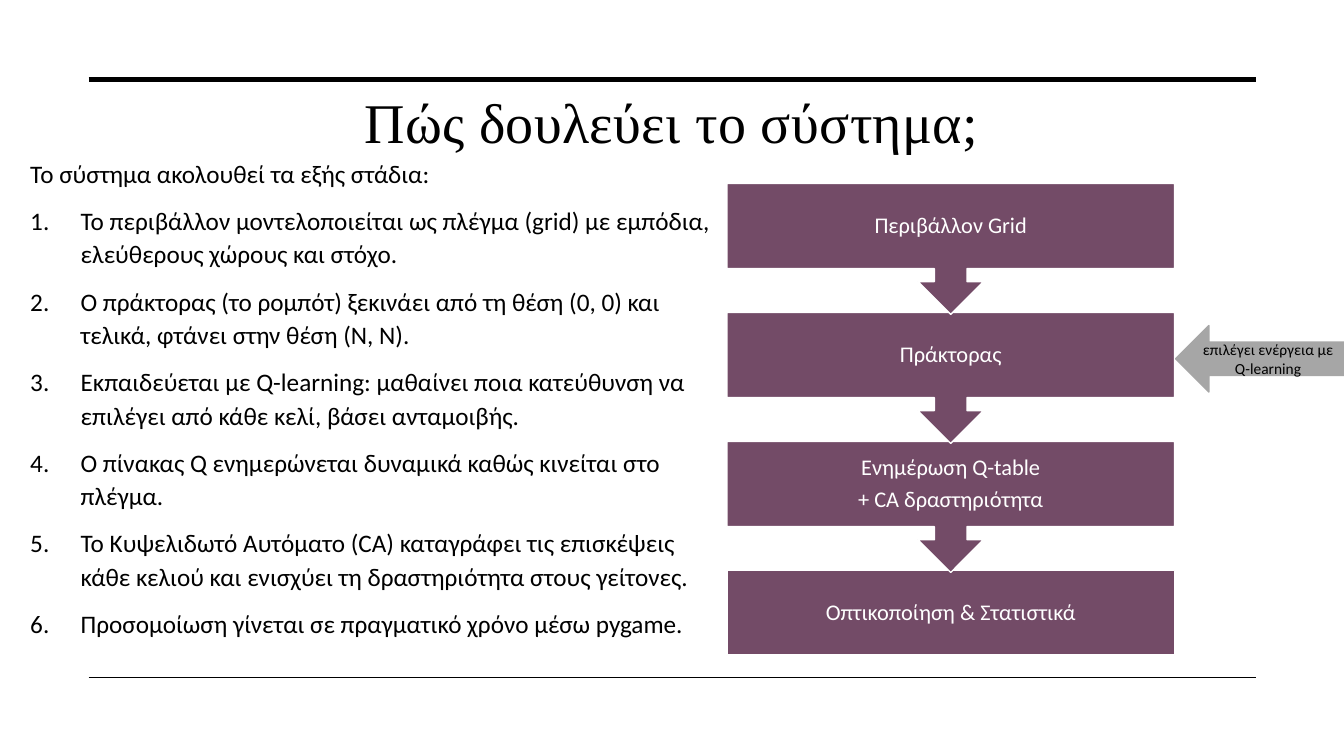
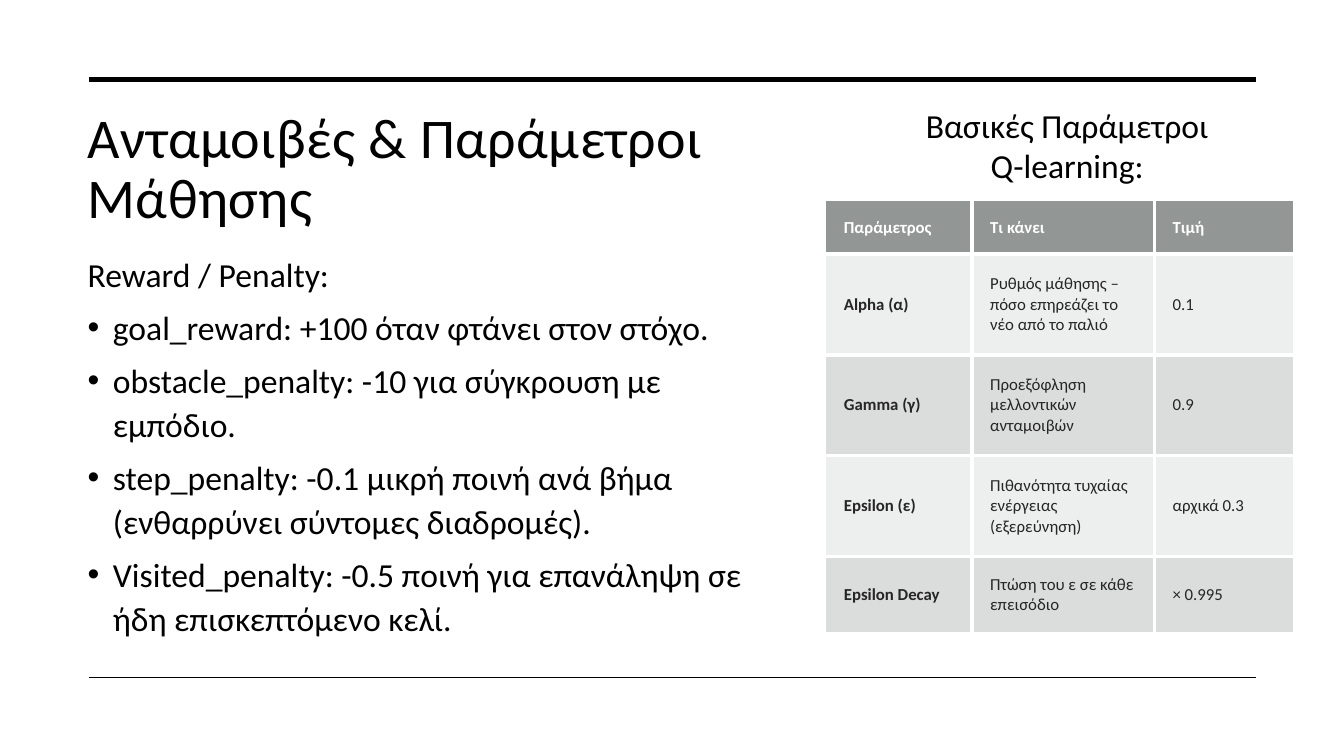
from dataclasses import dataclass
from typing import NamedTuple, Optional

from lxml.etree import SubElement
from pptx import Presentation
from pptx.dml.color import RGBColor
from pptx.enum.shapes import MSO_CONNECTOR, MSO_SHAPE
from pptx.enum.text import MSO_ANCHOR, MSO_AUTO_SIZE, PP_ALIGN
from pptx.oxml.ns import qn
from pptx.util import Inches, Pt


@dataclass(frozen=True)
class Theme:
    sans: str = "Calibri"
    serif: str = "Times New Roman"
    ink: str = "000000"
    paper: str = "FFFFFF"
    plum: str = "734B67"
    silver: str = "A6A6A6"
    header: str = "929795"
    bands: tuple = ("EDEEEE", "DBDDDC")
    cell_ink: str = "262626"
    title_size: float = 40
    large_size: float = 24
    list_size: float = 18
    step_size: float = 16
    cell_size: float = 12
    note_size: float = 11


THEME = Theme()


class Box(NamedTuple):
    left: float
    top: float
    width: float
    height: float

    def emu(self) -> tuple:
        return tuple(Inches(side) for side in self)


@dataclass(frozen=True)
class TextStyle:
    size: float
    color: str = THEME.ink
    font: str = THEME.sans
    bold: bool = False
    align: PP_ALIGN = PP_ALIGN.LEFT
    line_spacing: float = 1.0
    before: float = 0
    after: float = 0
    tracking: Optional[int] = None


@dataclass(frozen=True)
class Marker:
    """List marker: its XML tag, attribute and hanging indent in inches."""
    tag: str
    attribute: str
    value: str
    indent: float


NUMBER = Marker("a:buAutoNum", "type", "arabicPeriod", 0.5)
BULLET = Marker("a:buChar", "char", "•", 0.25)

STAGES = [
    "Το σύστημα ακολουθεί τα εξής στάδια:",
    "Το περιβάλλον μοντελοποιείται ως πλέγμα (grid) με εμπόδια, ελεύθερους χώρους και στόχο.",
    "Ο πράκτορας (το ρομπότ) ξεκινάει από τη θέση (0, 0) και τελικά, φτάνει στην θέση (N, N).",
    "Εκπαιδεύεται με Q-learning: μαθαίνει ποια κατεύθυνση να επιλέγει από κάθε κελί, "
    "βάσει ανταμοιβής.",
    "Ο πίνακας Q ενημερώνεται δυναμικά καθώς κινείται στο πλέγμα.",
    "Το Κυψελιδωτό Αυτόματο (CA) καταγράφει τις επισκέψεις κάθε κελιού και ενισχύει "
    "τη δραστηριότητα στους γείτονες.",
    "Προσομοίωση γίνεται σε πραγματικό χρόνο μέσω pygame.",
]
FLOW_STEPS = [
    "Περιβάλλον Grid",
    "Πράκτορας",
    "Ενημέρωση Q-table\n+ CA δραστηριότητα",
    "Οπτικοποίηση & Στατιστικά",
]
REWARDS = [
    "Reward / Penalty:",
    "goal_reward: +100 όταν φτάνει στον στόχο.",
    "obstacle_penalty: -10 για σύγκρουση με εμπόδιο.",
    "step_penalty: -0.1 μικρή ποινή ανά βήμα (ενθαρρύνει σύντομες διαδρομές).",
    "Visited_penalty: -0.5 ποινή για επανάληψη σε ήδη επισκεπτόμενο κελί.",
]
PARAMETERS = [
    ("Παράμετρος", "Τι κάνει", "Τιμή"),
    ("Alpha (α)", "Ρυθμός μάθησης – πόσο επηρεάζει το νέο από το παλιό", "0.1"),
    ("Gamma (γ)", "Προεξόφληση μελλοντικών ανταμοιβών", "0.9"),
    ("Epsilon (ε)", "Πιθανότητα τυχαίας ενέργειας (εξερεύνηση)", "αρχικά 0.3"),
    ("Epsilon Decay", "Πτώση του ε σε κάθε επεισόδιο", "× 0.995"),
]


def rgb(color: str) -> RGBColor:
    return RGBColor.from_string(color)


def write(frame, text: str, style: TextStyle) -> None:
    frame.text = text
    for index, paragraph in enumerate(frame.paragraphs):
        paragraph.alignment = style.align
        paragraph.line_spacing = style.line_spacing
        paragraph.space_before = Pt(style.before if index else 0)
        paragraph.space_after = Pt(style.after)
        for run in paragraph.runs:
            font = run.font
            font.name, font.size, font.bold = style.font, Pt(style.size), style.bold
            font.color.rgb = rgb(style.color)
            if style.tracking is not None:
                run._r.get_or_add_rPr().set("spc", str(style.tracking))


def place(shape, box: Box) -> None:
    shape.left, shape.top, shape.width, shape.height = box.emu()


def add_rule(slide, top: float, weight: float) -> None:
    rule = slide.shapes.add_connector(
        MSO_CONNECTOR.STRAIGHT, Inches(0.88), Inches(top), Inches(12.46), Inches(top))
    rule.line.color.rgb = rgb(THEME.ink)
    rule.line.width = Pt(weight)
    SubElement(rule._element.spPr, qn("a:effectLst"))


def add_framed_slide(prs, title: str, box: Box, style: TextStyle):
    """Add a slide with its title between the two horizontal rules."""
    slide = prs.slides.add_slide(prs.slide_layouts[1])
    add_rule(slide, 0.79, 3.5)
    add_rule(slide, 6.72, 1)
    heading = slide.shapes.title
    place(heading, box)
    frame = heading.text_frame
    frame.auto_size = MSO_AUTO_SIZE.NONE
    frame.vertical_anchor = MSO_ANCHOR.TOP
    frame.margin_top = Inches(0.1)
    write(frame, title, style)
    return slide


def fill_list(slide, items: list, box: Box, style: TextStyle, marker: Marker) -> None:
    """Fill the body with a plain lead line followed by marked items."""
    body = slide.placeholders[1]
    place(body, box)
    frame = body.text_frame
    frame.auto_size = MSO_AUTO_SIZE.NONE
    write(frame, "\n".join(items), style)
    for index, paragraph in enumerate(frame.paragraphs):
        properties = paragraph._p.get_or_add_pPr()
        indent = Inches(marker.indent) if index else 0
        properties.set("marL", str(indent))
        properties.set("indent", str(-indent))
        if index:
            SubElement(properties, qn(marker.tag)).set(marker.attribute, marker.value)
        else:
            SubElement(properties, qn("a:buNone"))


def add_block(slide, preset: MSO_SHAPE, box: Box, text: str, fill: str, outline: str,
              style: TextStyle, inset: float) -> None:
    block = slide.shapes.add_shape(preset, *box.emu())
    block.shadow.inherit = False
    block.fill.solid()
    block.fill.fore_color.rgb = rgb(fill)
    block.line.color.rgb = rgb(outline)
    block.line.width = Pt(1)
    frame = block.text_frame
    frame.word_wrap = True
    frame.vertical_anchor = MSO_ANCHOR.MIDDLE
    frame.margin_left = frame.margin_right = Inches(inset)
    frame.margin_top = frame.margin_bottom = Inches(0.05)
    write(frame, text, style)


def add_flow(slide) -> None:
    style = TextStyle(THEME.step_size, THEME.paper, align=PP_ALIGN.CENTER,
                      line_spacing=0.9, after=5.6)
    last = len(FLOW_STEPS) - 1
    for index, step in reversed(list(enumerate(FLOW_STEPS))):
        preset = MSO_SHAPE.RECTANGLE if index == last else MSO_SHAPE.DOWN_ARROW_CALLOUT
        box = Box(7.21, 1.82 + 1.28 * index, 4.44, 0.84 if index == last else 1.3)
        add_block(slide, preset, box, step, THEME.plum, THEME.paper, style, 0.12)


def add_borders(cell, sides: dict) -> None:
    properties = cell._tc.get_or_add_tcPr()
    for tag, inner in sides.items():
        if inner:
            line = SubElement(properties, qn(tag), w=str(Pt(3)))
            fill = SubElement(line, qn("a:solidFill"))
            SubElement(fill, qn("a:srgbClr"), val=THEME.paper)


def add_parameter_table(slide) -> None:
    widths, heights = (1.45, 1.81, 1.38), (0.53, 1, 1, 1, 0.76)
    box = Box(8.19, 1.99, sum(widths), sum(heights))
    table = slide.shapes.add_table(len(heights), len(widths), *box.emu()).table
    table.first_row = table.horz_banding = False
    for column, width in zip(table.columns, widths):
        column.width = Inches(width)
    for r, (row, height, values) in enumerate(zip(table.rows, heights, PARAMETERS)):
        row.height = Inches(height)
        for c, value in enumerate(values):
            cell = table.cell(r, c)
            add_borders(cell, {"a:lnL": c > 0, "a:lnR": c < len(widths) - 1,
                               "a:lnT": r > 0, "a:lnB": r < len(heights) - 1})
            cell.fill.solid()
            cell.fill.fore_color.rgb = rgb(THEME.bands[(r - 1) % 2] if r else THEME.header)
            cell.vertical_anchor = MSO_ANCHOR.MIDDLE
            cell.margin_left = Inches(0.18)
            cell.margin_right = cell.margin_top = cell.margin_bottom = Inches(0.11)
            write(cell.text_frame, value,
                  TextStyle(THEME.cell_size, THEME.cell_ink if r else THEME.paper,
                            bold=r == 0 or c == 0))


def add_system_slide(prs) -> None:
    slide = add_framed_slide(
        prs, "Πώς δουλεύει το σύστημα;", Box(0.82, 0.77, 11.69, 1.04),
        TextStyle(THEME.title_size, font=THEME.serif, align=PP_ALIGN.CENTER, tracking=30))
    fill_list(slide, STAGES, Box(0.2, 1.49, 7.01, 5.24),
              TextStyle(THEME.list_size, line_spacing=1.1, before=10), NUMBER)
    add_flow(slide)
    add_block(slide, MSO_SHAPE.LEFT_ARROW, Box(11.66, 3.23, 1.67, 0.66),
              "επιλέγει ενέργεια με Q-learning", THEME.silver, THEME.silver,
              TextStyle(THEME.note_size, align=PP_ALIGN.CENTER), 0.08)


def add_rewards_slide(prs) -> None:
    slide = add_framed_slide(
        prs, "Ανταμοιβές & Παράμετροι Μάθησης", Box(0.77, 0.99, 7, 1.43),
        TextStyle(THEME.title_size, line_spacing=0.9, tracking=30))
    fill_list(slide, REWARDS, Box(0.77, 2.43, 7, 4.09),
              TextStyle(THEME.large_size, line_spacing=1.1, after=6), BULLET)
    add_parameter_table(slide)
    caption = slide.shapes.add_textbox(*Box(8.6, 0.99, 3.97, 0.91).emu()).text_frame
    caption.word_wrap = True
    write(caption, "Βασικές Παράμετροι\nQ-learning:",
          TextStyle(THEME.large_size, align=PP_ALIGN.CENTER))


def main() -> None:
    prs = Presentation()
    prs.slide_width, prs.slide_height = Inches(13.33), Inches(7.5)
    add_system_slide(prs)
    add_rewards_slide(prs)
    prs.save("out.pptx")


if __name__ == "__main__":
    main()
